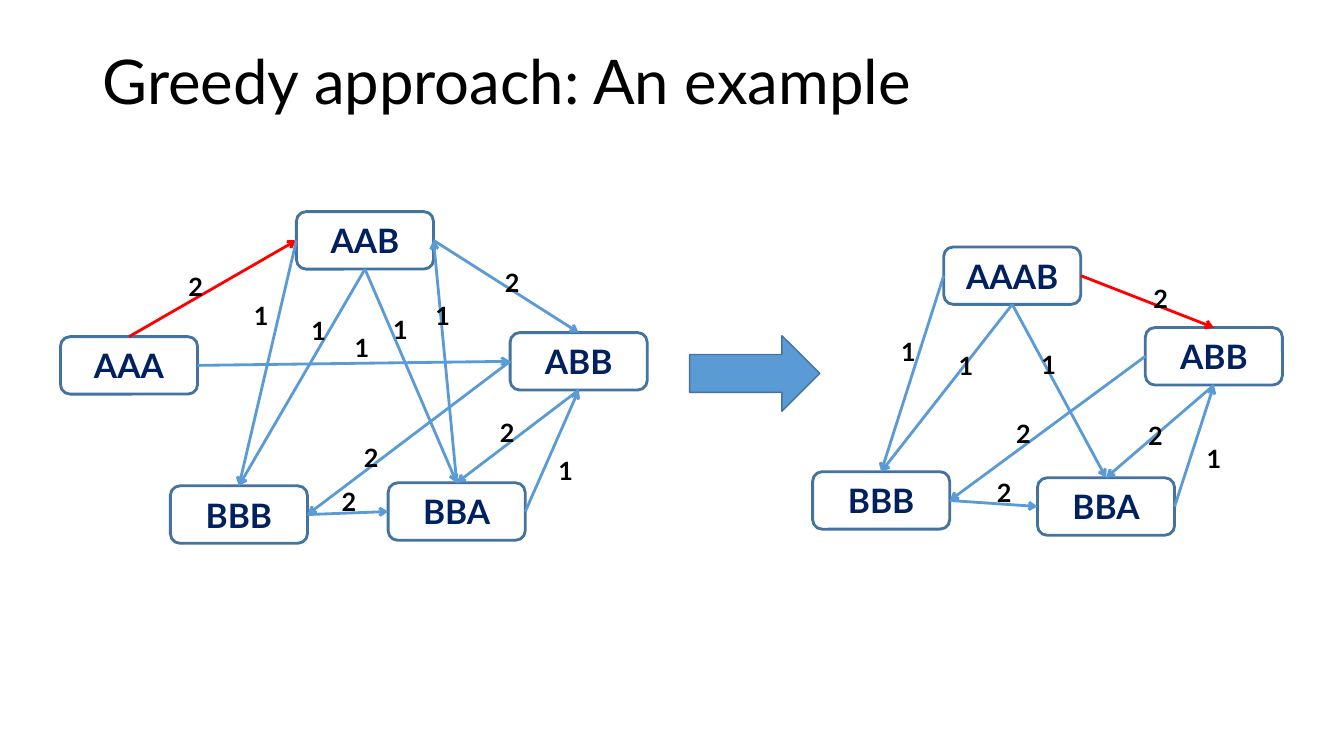
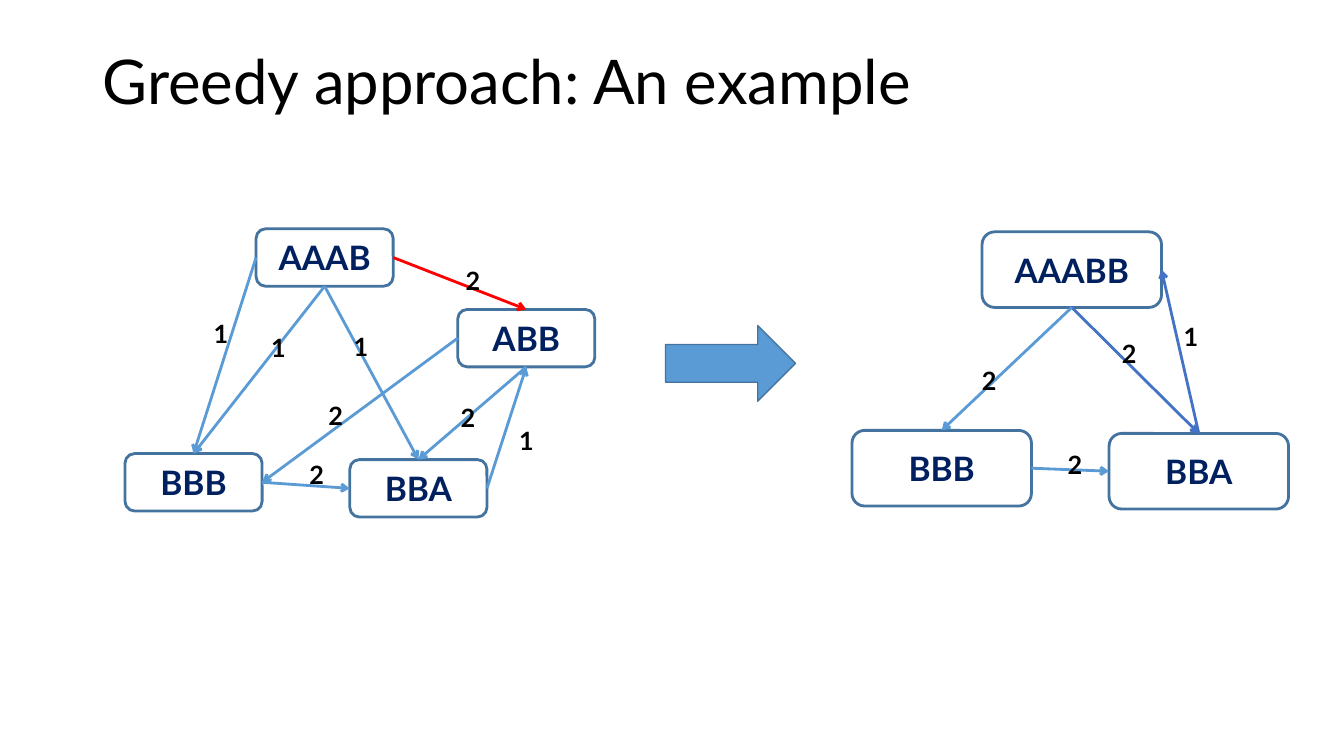
from pptx import Presentation
from pptx.dml.color import RGBColor
from pptx.enum.shapes import MSO_CONNECTOR as Wire, MSO_SHAPE as Form
from pptx.enum.text import MSO_ANCHOR as Anchor, MSO_AUTO_SIZE as Auto, PP_ALIGN as Align
from pptx.oxml.ns import qn
from pptx.util import Pt
from lxml.etree import SubElement

PX = 9144  # 100 px to the inch
TOP, LEFT, BASE, RIGHT = range(4)  # connection sites
hue = RGBColor.from_string

# Shared look
WHITE, RIM, SKY, BLUE, RED = "FFFFFF", "43739E", "5B9BD5", "4472C4", "FF0000"
HEAD = {"name": "Lato", "size": Pt(44), "bold": False}
NODE = {"name": "Lato", "size": Pt(24), "bold": True}
MARK = {"name": "Lato", "size": Pt(18), "bold": True}


def write(shape, text, look, tint="000000"):
    par = shape.text_frame.paragraphs[0]
    run = par.add_run()
    run.text = text
    for key, value in look.items():
        setattr(run.font, key, value)
    run.font.color.rgb = hue(tint)
    return par


def draw(slide, form, box, fill, width):
    shape = slide.shapes.add_shape(form, *[n * PX for n in box])
    shape.shadow.inherit = False
    shape.fill.solid()
    shape.fill.fore_color.rgb = hue(fill)
    shape.line.color.rgb = hue(RIM)
    shape.line.width = Pt(width)
    return shape


# Graphs: node size, node corners, then edges as
# start, side, end, side, colour, weight, weight corner
FIVE = (
    (136, 57),
    {"AAA": (60, 334), "ABB": (506, 330), "AAB": (294, 210),
     "BBA": (385, 479), "BBB": (169, 482)},
    [("AAA", TOP, "AAB", LEFT, RED, "2", 177, 264),
     ("ABB", BASE, "BBA", TOP, SKY, "2", 486, 409),
     ("AAB", BASE, "BBA", TOP, SKY, "1", 380, 307),
     ("AAB", BASE, "BBB", TOP, SKY, "1", 299, 308),
     ("AAB", RIGHT, "ABB", TOP, SKY, "2", 491, 260),
     ("BBA", RIGHT, "ABB", BASE, SKY, "1", 544, 447),
     ("BBB", RIGHT, "BBA", LEFT, SKY, "2", 329, 478),
     ("BBA", TOP, "AAB", RIGHT, SKY, "1", 422, 293),
     ("AAB", LEFT, "BBB", TOP, SKY, "1", 242, 293),
     ("AAA", RIGHT, "ABB", LEFT, SKY, "1", 342, 325),
     ("ABB", LEFT, "BBB", RIGHT, SKY, "2", 351, 434)],
)
FOUR = (
    (136, 57),
    {"ABB": (454, 307), "AAAB": (254, 227), "BBA": (347, 456), "BBB": (124, 450)},
    [("ABB", BASE, "BBA", TOP, SKY, "2", 447, 394),
     ("AAAB", BASE, "BBA", TOP, SKY, "1", 341, 324),
     ("AAAB", BASE, "BBB", TOP, SKY, "1", 259, 325),
     ("AAAB", RIGHT, "ABB", TOP, RED, "2", 452, 258),
     ("BBA", RIGHT, "ABB", BASE, SKY, "1", 505, 417),
     ("BBB", RIGHT, "BBA", LEFT, SKY, "2", 297, 451),
     ("AAAB", LEFT, "BBB", TOP, SKY, "1", 202, 311),
     ("ABB", LEFT, "BBB", RIGHT, SKY, "2", 316, 392)],
)
THREE = (
    (178, 75),
    {"AAABB": (974, 230), "BBA": (1100, 430), "BBB": (845, 427)},
    [("AAABB", BASE, "BBA", TOP, BLUE, "2", 1103, 331),
     ("BBB", RIGHT, "BBA", LEFT, SKY, "2", 1049, 441),
     ("AAABB", BASE, "BBB", TOP, SKY, "2", 964, 357),
     ("BBA", TOP, "AAABB", RIGHT, BLUE, "1", 1164, 314)],
)

# Each slide: corner of the block arrow, then graphs with their shift
PAGES = [
    ((684, 333), [(FIVE, 0, 0), (FOUR, 682, 18)]),
    ((660, 323), [(FOUR, 0, 0), (THREE, 0, 0)]),
]

deck = Presentation()
deck.slide_width, deck.slide_height = 1333 * PX, 750 * PX

for step, graphs in PAGES:
    slide = deck.slides.add_slide(deck.slide_layouts[6])

    # Title
    title = slide.shapes.add_textbox(92 * PX, 40 * PX, 1150 * PX, 88 * PX)
    title.text_frame.word_wrap = True
    title.text_frame.vertical_anchor = Anchor.MIDDLE
    write(title, "Greedy approach: An example", HEAD).line_spacing = 0.9

    # Block arrow between the graphs
    draw(slide, Form.RIGHT_ARROW, (*step, 129, 75), SKY, 1)

    for (size, spots, edges), dx, dy in graphs:
        # Nodes
        nodes = {}
        for name, (x, y) in spots.items():
            node = draw(slide, Form.ROUNDED_RECTANGLE, (x + dx, y + dy, *size), WHITE, 2)
            node.text_frame.vertical_anchor = Anchor.MIDDLE
            write(node, name, NODE, "002060").alignment = Align.CENTER
            nodes[name] = node

        # Edges
        for start, out, end, into, tint, *_ in edges:
            edge = slide.shapes.add_connector(Wire.STRAIGHT, 0, 0, 0, 0)
            edge.begin_connect(nodes[start], out)
            edge.end_connect(nodes[end], into)
            edge.line.color.rgb = hue(tint)
            edge.line.width = Pt(2)
            props = edge._element.spPr
            SubElement(props.find(qn("a:ln")), qn("a:tailEnd"), type="arrow")
            SubElement(props, qn("a:effectLst"))

        # Weights
        for *_, weight, x, y in edges:
            mark = slide.shapes.add_textbox((x + dx) * PX, (y + dy) * PX, 33 * PX, 42 * PX)
            mark.text_frame.word_wrap = False
            mark.text_frame.auto_size = Auto.SHAPE_TO_FIT_TEXT
            write(mark, weight, MARK)

deck.save("out.pptx")
